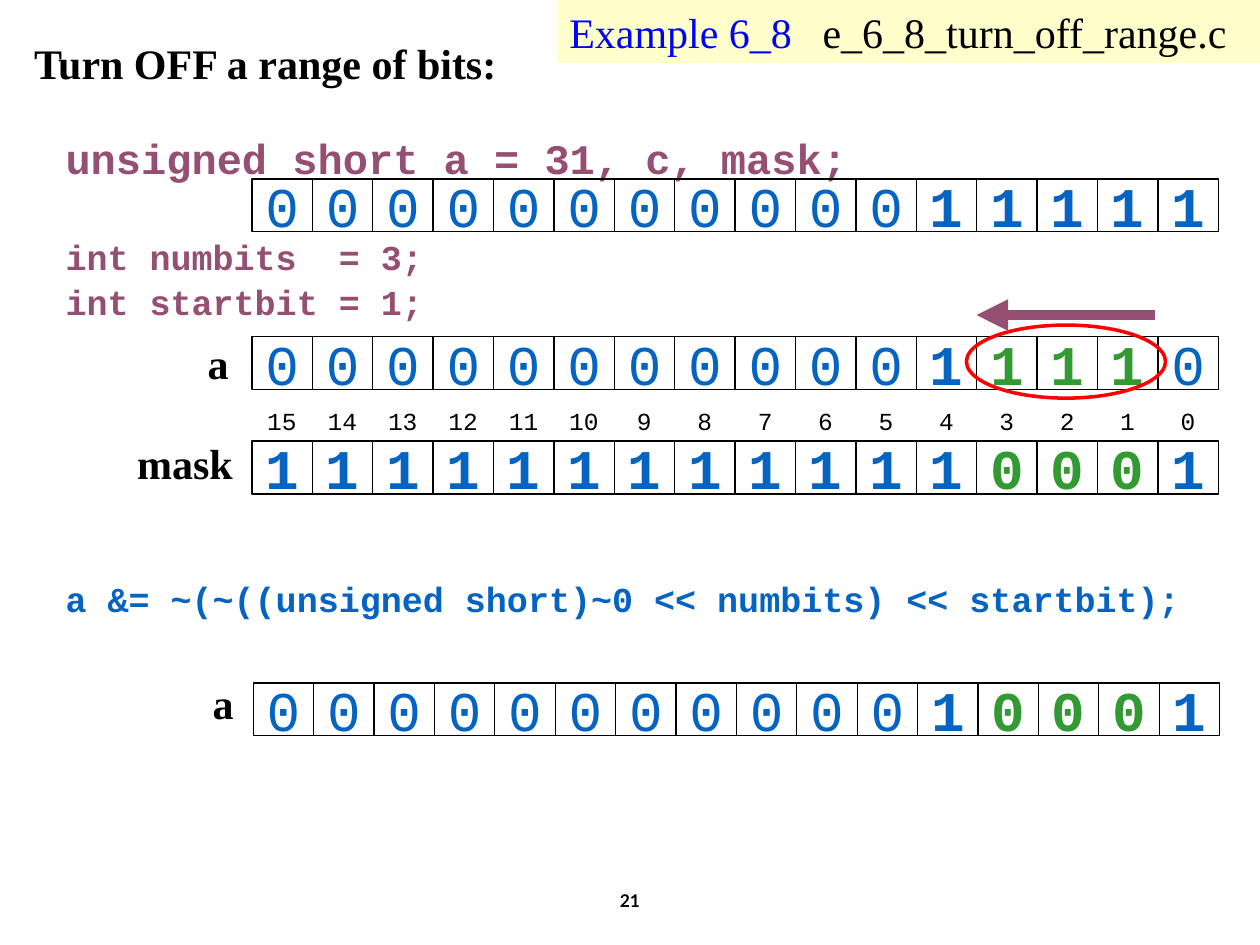
from dataclasses import dataclass

from lxml import etree
from pptx import Presentation
from pptx import util as u
from pptx.dml.color import RGBColor
from pptx.enum import shapes, text
from pptx.oxml import ns


@dataclass(frozen=True)
class Theme:
    serif: str = "Times New Roman"
    mono: str = "Courier New"
    sans: str = "Lato"
    black: str = "000000"
    plum: str = "954F72"
    blue: str = "0563C1"
    green: str = "339933"
    red: str = "FF0000"
    link: str = "0000FF"
    cream: str = "FFFFCC"
    digit: int = 32
    heading: int = 24
    code: int = 20
    index: int = 14
    footer: int = 10


class Page:
    cell_width = 7.67 / 16
    cell_height = 0.42

    def __init__(self, deck, theme):
        self.theme = theme
        self.slide = deck.slides.add_slide(deck.slide_layouts[1])

    def place(self, box, left, top, width, height):
        box.left, box.top = u.Inches(left), u.Inches(top)
        box.width, box.height = u.Inches(width), u.Inches(height)

    def style(self, span, font, size, color, bold=False):
        span.font.name = font
        span.font.size = u.Pt(size)
        span.font.bold = bold
        span.font.color.rgb = RGBColor.from_string(color)

    def fill_text(self, box, words, font, size, color, bold=False,
                  align=text.PP_ALIGN.LEFT, anchor=text.MSO_ANCHOR.TOP, wrap=True):
        frame = box.text_frame
        frame.text = words
        frame.word_wrap = wrap
        frame.auto_size = text.MSO_AUTO_SIZE.NONE
        frame.vertical_anchor = anchor
        for para in frame.paragraphs:
            para.alignment = align
            for span in para.runs:
                self.style(span, font, size, color, bold)
        return frame.paragraphs

    def title(self, words, *place):
        box = self.slide.shapes.title
        self.place(box, *place)
        self.fill_text(box, words, self.theme.serif, self.theme.heading,
                       self.theme.black, True, wrap=False)

    def code(self, lines, *place):
        box = self.slide.placeholders[1]
        self.place(box, *place)
        words = "\n".join(line for line, size, color, gap in lines)
        paras = self.fill_text(box, words, self.theme.mono, self.theme.code,
                               self.theme.plum, True)
        for para, (line, size, color, gap) in zip(paras, lines):
            para.space_before = u.Pt(gap)
            self.style(para.runs[0], self.theme.mono, size, color, True)
            props = para._p.get_or_add_pPr()
            props.set("marL", "0")
            props.set("indent", "0")
            etree.SubElement(props, ns.qn("a:buNone"))

    def label(self, words, place, font, size, bold=True, **layout):
        box = self.slide.shapes.add_textbox(*map(u.Inches, place))
        return self.fill_text(box, words, font, size, self.theme.black, bold, **layout)

    def tabs(self, para, stops, align):
        tab_list = etree.SubElement(para._p.get_or_add_pPr(), ns.qn("a:tabLst"))
        for stop in stops:
            etree.SubElement(tab_list, ns.qn("a:tab"), pos=str(u.Inches(stop)), algn=align)

    def outline(self, shape, color, width):
        shape.shadow.inherit = False
        shape.fill.background()
        shape.line.color.rgb = RGBColor.from_string(color)
        shape.line.width = u.Pt(width)

    def register(self, bits, left, top, marked=()):
        group = self.slide.shapes.add_group_shape()
        for column, bit in enumerate(bits):
            cell = group.shapes.add_shape(
                shapes.MSO_SHAPE.RECTANGLE, u.Inches(left + column * self.cell_width),
                u.Inches(top), u.Inches(self.cell_width), u.Inches(self.cell_height))
            self.outline(cell, self.theme.black, 0.75)
            is_marked = len(bits) - 1 - column in marked
            color = self.theme.green if is_marked else self.theme.blue
            self.fill_text(cell, bit, self.theme.mono, self.theme.digit, color,
                           is_marked or bit == "1", text.PP_ALIGN.CENTER,
                           text.MSO_ANCHOR.MIDDLE, False)

    def bit_numbers(self, *place):
        words = "".join(f"\t{bit}" for bit in reversed(range(16)))
        para = self.label(words, place, self.theme.mono, self.theme.index, False)[0]
        para.space_before = u.Pt(2)
        self.tabs(para, [(column + 0.5) * self.cell_width - 0.1 for column in range(16)], "ctr")

    def ellipse(self, *place):
        ring = self.slide.shapes.add_shape(shapes.MSO_SHAPE.OVAL, *map(u.Inches, place))
        self.outline(ring, self.theme.red, 2)

    def arrow(self, *ends):
        line = self.slide.shapes.add_connector(
            shapes.MSO_CONNECTOR.STRAIGHT, *map(u.Inches, ends))
        line.line.color.rgb = RGBColor.from_string(self.theme.plum)
        line.line.width = u.Pt(6)
        etree.SubElement(line.line._get_or_add_ln(), ns.qn("a:tailEnd"), type="triangle")
        etree.SubElement(line._element.spPr, ns.qn("a:effectLst"))

    def banner(self, name, file_name, *place):
        box = self.slide.shapes.add_shape(shapes.MSO_SHAPE.RECTANGLE, *map(u.Inches, place))
        box.shadow.inherit = False
        box.fill.solid()
        box.fill.fore_color.rgb = RGBColor.from_string(self.theme.cream)
        box.line.fill.background()
        para = self.fill_text(box, f"{name}\t", self.theme.serif, self.theme.heading,
                              self.theme.link)[0]
        span = para.add_run()
        span.text = file_name
        self.style(span, self.theme.serif, self.theme.heading, self.theme.black)
        self.tabs(para, [2.01], "l")


def main():
    deck = Presentation()
    deck.slide_width, deck.slide_height = u.Inches(10), u.Inches(7.5)
    theme = Theme()
    page = Page(deck, theme)

    page.title("Turn OFF a range of bits:", 0.17, 0.25, 3.91, 0.5)
    page.code([
        ("unsigned short a = 31, c, mask;", theme.heading, theme.plum, 5),
        ("int numbits  = 3;", theme.code, theme.plum, 30.4),
        ("int startbit = 1;", theme.code, theme.plum, 1.4),
        ("a &= ~(~((unsigned short)~0 << numbits) << startbit);",
         theme.code, theme.blue, 146),
    ], 0.42, 1, 9.33, 4.7)

    marked = range(1, 4)
    page.register("0000000000011111", 2, 1.42)
    page.register("0000000000011110", 2, 2.67, marked)
    page.bit_numbers(2, 3.17, 7.83, 0.33)
    page.register("1111111111110001", 2, 3.5, marked)
    page.register("0000000000010001", 2.01, 5.42, marked)

    for name, left, top, width in (
            ("a", 1.55, 2.63, 0.37), ("mask", 0.99, 3.42, 0.96), ("a", 1.59, 5.33, 0.37)):
        page.label(name, (left, top, width, 0.5), theme.serif, theme.heading, wrap=False)

    page.ellipse(7.67, 2.58, 1.58, 0.58)
    page.arrow(9.17, 2.5, 7.75, 2.5)
    page.banner("Example 6_8", "e_6_8_turn_off_range.c", 4.42, 0, 5.58, 0.5)
    page.label("21", (3.31, 6.95, 3.38, 0.4), theme.sans, theme.footer,
               align=text.PP_ALIGN.CENTER, anchor=text.MSO_ANCHOR.MIDDLE)
    deck.save("out.pptx")


if __name__ == "__main__":
    main()
